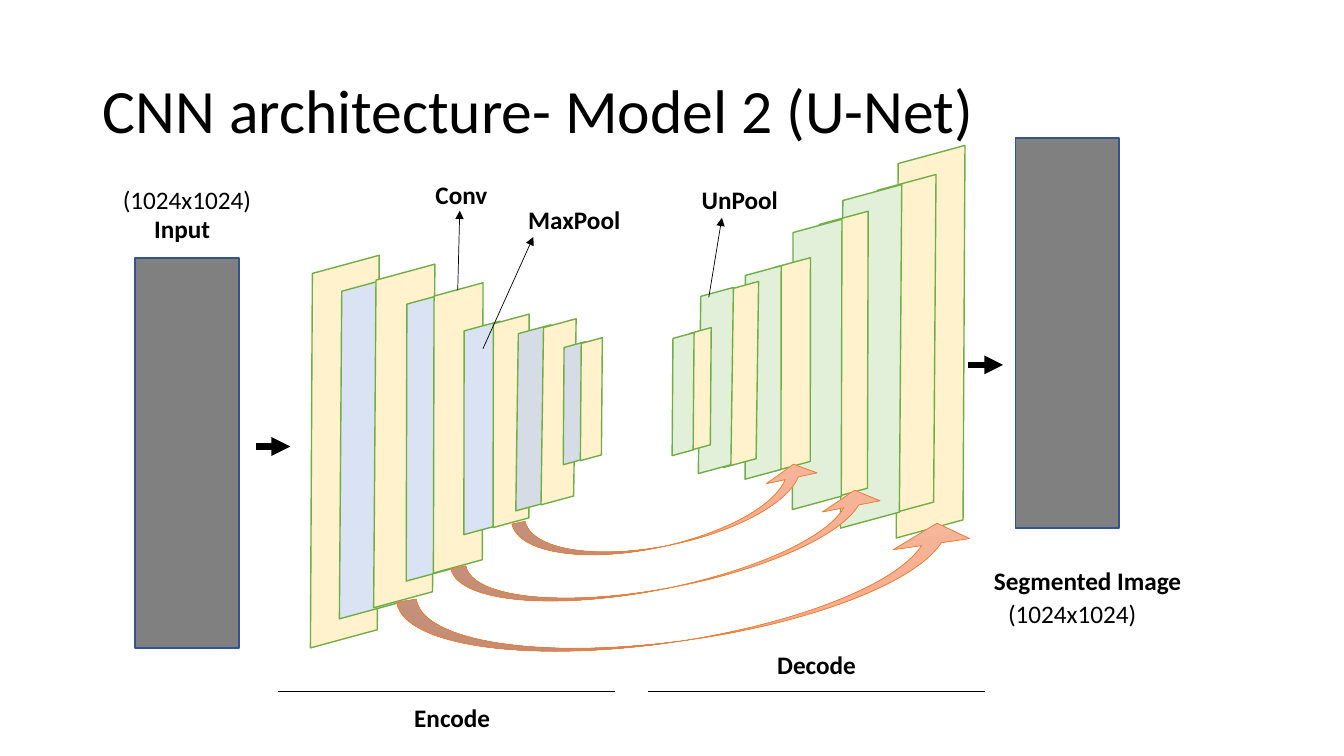
from dataclasses import dataclass
from typing import Any

from lxml import etree
from pptx import Presentation
from pptx.dml.color import RGBColor
from pptx.enum.shapes import MSO_CONNECTOR, MSO_SHAPE
from pptx.enum.text import MSO_ANCHOR, MSO_AUTO_SIZE, PP_ALIGN
from pptx.oxml.ns import qn
from pptx.util import Inches, Pt

STRAIGHT = MSO_CONNECTOR.STRAIGHT
PARALLELOGRAM = MSO_SHAPE.PARALLELOGRAM
RECTANGLE = MSO_SHAPE.RECTANGLE
CURVED_ARROW = MSO_SHAPE.CURVED_UP_ARROW
MIDDLE = MSO_ANCHOR.MIDDLE
FIT_SHAPE = MSO_AUTO_SIZE.SHAPE_TO_FIT_TEXT
LEFT = PP_ALIGN.LEFT

COLORS = {
    "black": "000000",
    "conv": "FFF2CC",
    "pool": "DAE3F3",
    "deep_pool": "D6DCE5",
    "unpool": "E2F0D9",
    "plate_edge": "70AD47",
    "image": "808080",
    "image_edge": "325491",
    "skip_light": "F7BDA5",
    "skip_dark": "F8A582",
    "skip_edge": "ED7D31",
}
FONT = "Calibri"
PLATE_TILT = 344.8
PLATE_SLANT = 0.591
Point = tuple[float, float]


@dataclass
class Stage:
    size: Point
    encoder_conv: Point
    decoder_conv: Point
    encoder_pool: Point | None = None
    decoder_unpool: Point | None = None
    pool_color: str = "pool"


@dataclass
class Label:
    text: str
    left: float
    top: float
    width: float
    bold: bool = True


@dataclass
class Line:
    start: Point
    end: Point
    weight: float = 0.5
    arrow: bool = True


@dataclass
class Skip:
    position: Point
    size: Point
    rotation: float


STAGES = [
    Stage((1.68, 3.58), (2.58, 2.69), (8.39, 1.6)),
    Stage((1.48, 3.13), (3.27, 2.76), (8.24, 1.87), (2.93, 2.87), (7.9, 1.97)),
    Stage((1.23, 2.65), (3.93, 2.92), (7.75, 2.21), (3.66, 3), (7.49, 2.29)),
    Stage((0.9, 1.95), (4.62, 3.2), (7.41, 2.64), (4.33, 3.27), (7.12, 2.72)),
    Stage((0.82, 1.69), (5.13, 3.24), (6.94, 2.87), (4.88, 3.3), (6.69, 2.93), "deep_pool"),
    Stage((0.53, 1.12), (5.6, 3.4), (6.68, 3.3), (5.43, 3.44), (6.51, 3.35), "deep_pool"),
]
IMAGES = [(1.34, 2.56), (10.07, 1.37)]
IMAGE_SIZE = (1.03, 3.87)
LINES = [
    Line((2.76, 6.86), (6.1, 6.86), arrow=False),
    Line((6.43, 6.86), (9.77, 6.86), arrow=False),
    Line((2.54, 4.43), (2.88, 4.43), 4.5),
    Line((9.6, 3.62), (9.95, 3.62), 4.5),
    Line((4.54, 2.88), (4.56, 2.09)),
    Line((7.03, 2.95), (7.16, 2.16)),
    Line((4.79, 3.46), (5.29, 2.35)),
]
LABELS = [
    Label("Decode", 7.61, 6.39, 1.62),
    Label("Encode", 4.01, 6.92, 1.62),
    Label("Conv", 4.22, 1.73, 1.18),
    Label("MaxPool", 5.14, 1.98, 1.18),
    Label("UnPool", 6.86, 1.78, 1.18),
    Label("Input", 1.43, 2.07, 1.18),
    Label("Segmented Image", 9.76, 5.56, 2.34),
    Label("(1024x1024)", 1.12, 1.78, 1.79, bold=False),
    Label("(1024x1024)", 9.9, 5.89, 1.79, bold=False),
]
SKIPS = [
    Skip((4.49, 5.22), (4.37, 0.6), 349),
    Skip((3.96, 5.55), (5.8, 0.79), 351.7),
    Skip((5.1, 4.87), (3.11, 0.53), 348),
]


def color(name: str) -> RGBColor:
    return RGBColor.from_string(COLORS[name])


def apply_format(target: Any, values: dict[str, Any]) -> None:
    for name, value in values.items():
        setattr(target, name, value)


def format_text(shape: Any, text: str, size: float, bold: bool) -> None:
    shape.text_frame.text = text
    paragraph = shape.text_frame.paragraphs[0]
    paragraph.alignment = LEFT
    font = paragraph.runs[0].font
    apply_format(font, {"name": FONT, "size": Pt(size), "bold": bold})
    font.color.rgb = color("black")


def add_outlined(shapes: Any, kind: Any, position: Point, size: Point,
                 edge: str, weight: float = 1) -> Any:
    shape = shapes.add_shape(kind, *map(Inches, position + size))
    shape.shadow.inherit = False
    shape.line.color.rgb = color(edge)
    shape.line.width = Pt(weight)
    return shape


def add_plate(shapes: Any, position: Point, size: Point, fill: str) -> None:
    plate = add_outlined(shapes, PARALLELOGRAM, position, size, "plate_edge")
    plate.adjustments[0] = PLATE_SLANT
    plate.rotation = PLATE_TILT
    plate.fill.solid()
    plate.fill.fore_color.rgb = color(fill)


def add_image_block(shapes: Any, position: Point) -> None:
    block = add_outlined(shapes, RECTANGLE, position, IMAGE_SIZE, "image_edge")
    block.fill.solid()
    block.fill.fore_color.rgb = color("image")


def add_line(shapes: Any, line: Line) -> None:
    connector = shapes.add_connector(STRAIGHT, *map(Inches, line.start + line.end))
    connector.line.color.rgb = color("black")
    connector.line.width = Pt(line.weight)
    if line.arrow:
        etree.SubElement(connector.line._get_or_add_ln(), qn("a:tailEnd"), type="triangle")
    etree.SubElement(connector._element.spPr, qn("a:effectLst"))


def add_label(shapes: Any, label: Label) -> None:
    box = shapes.add_textbox(*map(Inches, (label.left, label.top, label.width, 0.4)))
    apply_format(box.text_frame, {"word_wrap": True, "auto_size": FIT_SHAPE})
    format_text(box, label.text, 18, label.bold)


def add_skip(shapes: Any, skip: Skip) -> None:
    arrow = add_outlined(shapes, CURVED_ARROW, skip.position, skip.size, "skip_edge", 0.5)
    arrow.rotation = skip.rotation
    for index, value in enumerate((0.25, 0.97, 0.25)):
        arrow.adjustments[index] = value
    arrow.fill.gradient()
    arrow.fill.gradient_angle = 270
    for stop, name in zip(arrow.fill.gradient_stops, ("skip_light", "skip_dark")):
        stop.color.rgb = color(name)


def main() -> None:
    presentation = Presentation()
    apply_format(presentation, {"slide_width": Inches(13.33), "slide_height": Inches(7.5)})
    slide = presentation.slides.add_slide(presentation.slide_layouts[5])
    shapes = slide.shapes

    title = shapes.title
    apply_format(title, {"left": Inches(0.92), "top": Inches(0.4),
                         "width": Inches(11.5), "height": Inches(1.45)})
    format_text(title, "CNN architecture- Model 2 (U-Net)", 44, False)
    title.text_frame.vertical_anchor = MIDDLE
    title.text_frame.paragraphs[0].line_spacing = 0.9

    encoder = shapes.add_group_shape().shapes
    for stage in STAGES:
        if stage.encoder_pool:
            add_plate(encoder, stage.encoder_pool, stage.size, stage.pool_color)
        add_plate(encoder, stage.encoder_conv, stage.size, "conv")
    for stage in STAGES:
        add_plate(shapes, stage.decoder_conv, stage.size, "conv")
        if stage.decoder_unpool:
            add_plate(shapes, stage.decoder_unpool, stage.size, "unpool")

    for position in IMAGES:
        add_image_block(shapes, position)
    for draw, items in ((add_line, LINES), (add_label, LABELS), (add_skip, SKIPS)):
        for item in items:
            draw(shapes, item)
    presentation.save("out.pptx")


if __name__ == "__main__":
    main()
